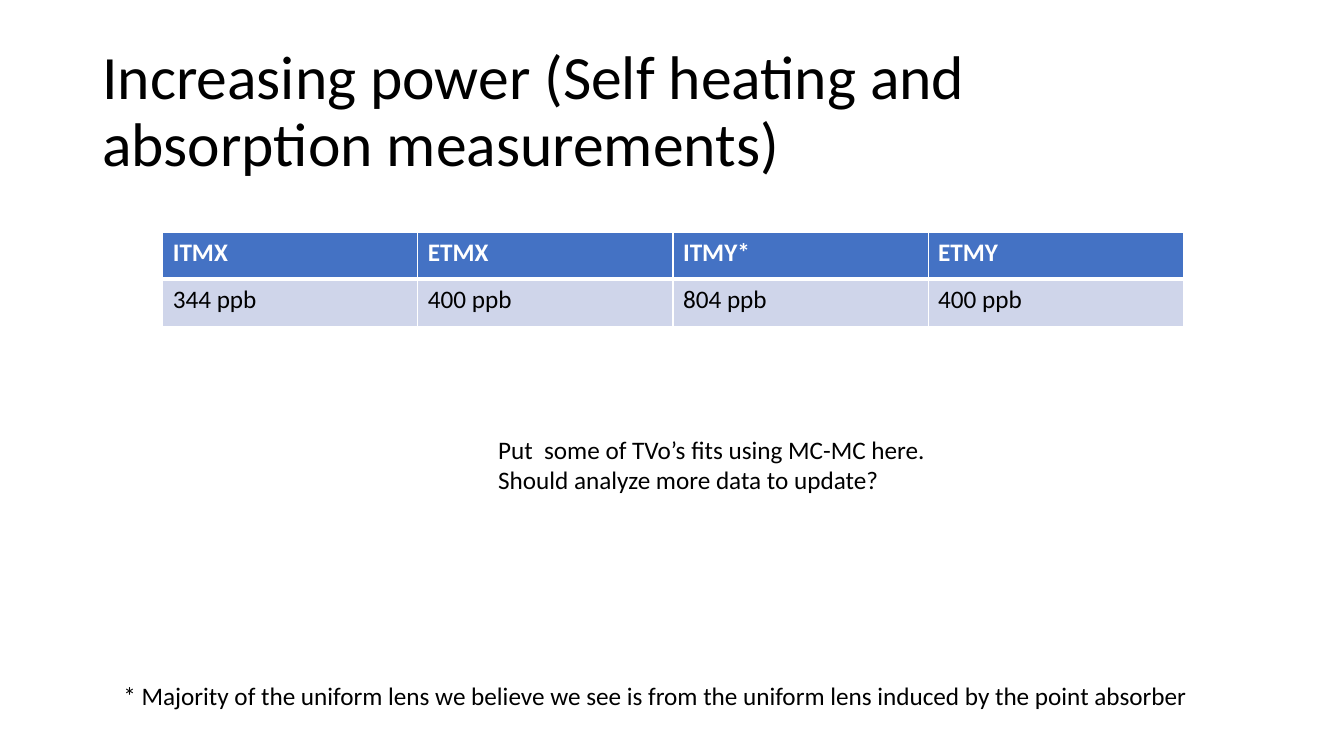
"""Build the slide on self heating and absorption measurements."""
import dataclasses

import lxml.etree
import pptx
import pptx.dml.color
import pptx.enum.text
import pptx.oxml.ns
import pptx.slide
import pptx.table
import pptx.text.text
import pptx.util

EMU_PER_PX = 9525
FONT = "Calibri"
COLOURS = {"text": "000000", "header text": "FFFFFF", "header": "4472C4",
           "body": "CFD5EA", "border": "FFFFFF"}


@dataclasses.dataclass(frozen=True)
class TextBlock:
    left: int
    top: int
    width: int
    height: int
    lines: tuple[str, ...]
    size: int = 18
    spacing: float = 1.0
    wrap: bool = False
    anchor: pptx.enum.text.MSO_ANCHOR = pptx.enum.text.MSO_ANCHOR.TOP


@dataclasses.dataclass(frozen=True)
class RowStyle:
    fill: str
    text: str
    bold: bool
    bottom_border: int


TITLE = TextBlock(88, 38, 1104, 139,
                  ("Increasing power (Self heating and absorption measurements)",),
                  size=44, spacing=0.9, wrap=True,
                  anchor=pptx.enum.text.MSO_ANCHOR.MIDDLE)
FOOTNOTE = TextBlock(108, 643, 1063, 38,
                     ("* Majority of the uniform lens we believe we see is from "
                      "the uniform lens induced by the point absorber",))
TO_DO = TextBlock(465, 409, 436, 68,
                  ("Put  some of TVo’s fits using MC-MC here.",
                   "Should analyze more data to update?"))

ABSORPTION = {"ITMX": "344 ppb", "ETMX": "400 ppb",
              "ITMY*": "804 ppb", "ETMY": "400 ppb"}
HEADER = RowStyle("header", "header text", True, 3)
BODY = RowStyle("body", "text", False, 1)
TABLE_LEFT, TABLE_TOP, COLUMN_WIDTH, ROW_HEIGHT = 155, 221, 243, 45


def px(length: int) -> pptx.util.Emu:
    return pptx.util.Emu(length * EMU_PER_PX)


def rgb(name: str) -> pptx.dml.color.RGBColor:
    return pptx.dml.color.RGBColor.from_string(COLOURS[name])


def format_runs(paragraph: pptx.text.text._Paragraph, size: int,
                colour: str, bold: bool = False) -> None:
    for run in paragraph.runs:
        run.font.name = FONT
        run.font.size = pptx.util.Pt(size)
        run.font.bold = bold
        run.font.color.rgb = rgb(colour)


def draw_text(slide: pptx.slide.Slide, block: TextBlock) -> None:
    frame = slide.shapes.add_textbox(px(block.left), px(block.top),
                                     px(block.width), px(block.height)).text_frame
    frame.word_wrap = block.wrap
    frame.vertical_anchor = block.anchor
    frame.text = "\n".join(block.lines)
    for paragraph in frame.paragraphs:
        paragraph.line_spacing = block.spacing
        format_runs(paragraph, block.size, "text")


def draw_borders(cell: pptx.table._Cell, bottom: int) -> None:
    properties = cell._tc.get_or_add_tcPr()
    qn = pptx.oxml.ns.qn
    for side, points in {"L": 1, "R": 1, "T": 1, "B": bottom}.items():
        border = lxml.etree.SubElement(properties, qn(f"a:ln{side}"),
                                       w=str(pptx.util.Pt(points)))
        fill = lxml.etree.SubElement(border, qn("a:solidFill"))
        lxml.etree.SubElement(fill, qn("a:srgbClr"), val=COLOURS["border"])


def draw_cell(cell: pptx.table._Cell, text: str, style: RowStyle) -> None:
    draw_borders(cell, style.bottom_border)
    cell.fill.solid()
    cell.fill.fore_color.rgb = rgb(style.fill)
    cell.text_frame.text = text
    format_runs(cell.text_frame.paragraphs[0], 18, style.text, style.bold)


def draw_absorption(slide: pptx.slide.Slide) -> None:
    rows = ((HEADER, ABSORPTION.keys()), (BODY, ABSORPTION.values()))
    table = slide.shapes.add_table(
        len(rows), len(ABSORPTION), px(TABLE_LEFT), px(TABLE_TOP),
        px(COLUMN_WIDTH * len(ABSORPTION)), px(ROW_HEIGHT * len(rows))).table
    for row, (style, texts) in enumerate(rows):
        for column, text in enumerate(texts):
            draw_cell(table.cell(row, column), text, style)


def main() -> None:
    deck = pptx.Presentation()
    deck.slide_width, deck.slide_height = px(1280), px(720)
    slide = deck.slides.add_slide(deck.slide_layouts[6])
    draw_text(slide, TITLE)
    draw_absorption(slide)
    draw_text(slide, FOOTNOTE)
    draw_text(slide, TO_DO)
    deck.save("out.pptx")


if __name__ == "__main__":
    main()
